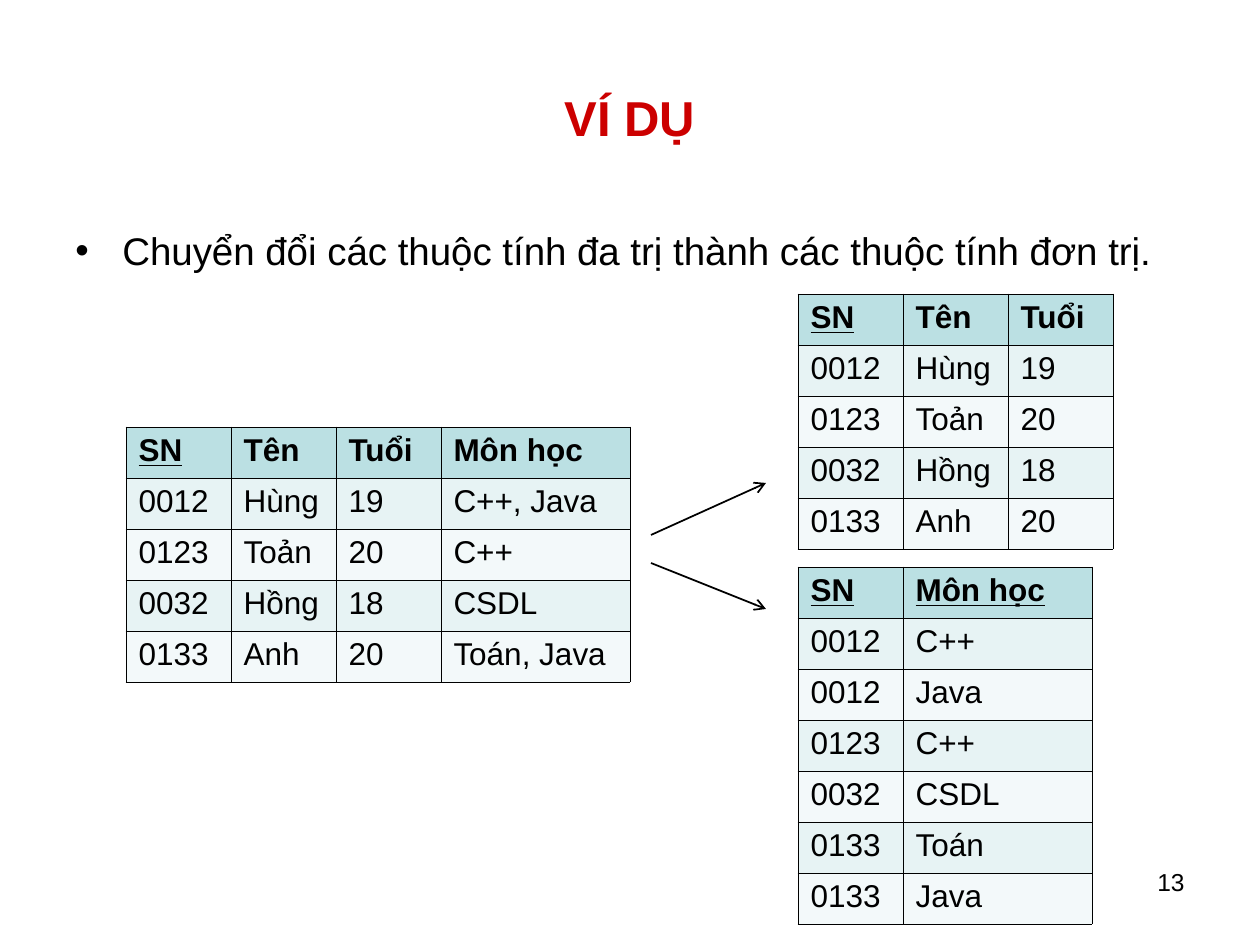
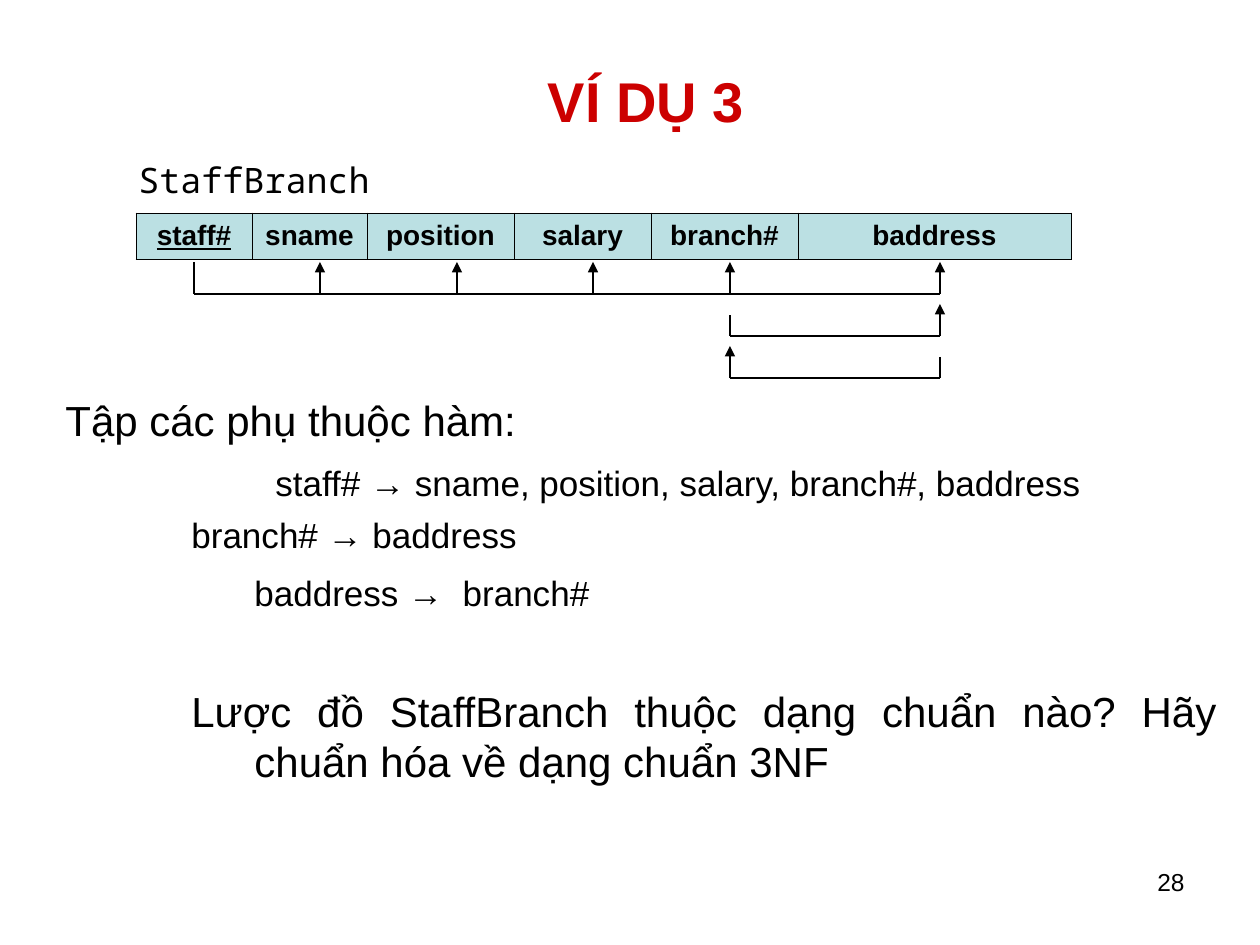
from lxml import etree
from pptx import Presentation
from pptx import util as u
from pptx.dml.color import RGBColor
from pptx.enum import shapes, text
from pptx.oxml.ns import qn

# Shared look
EMU_PER_PX = 914400 / 126
COLORS = {"ink": "000000", "title": "CC0000", "header": "BBE0E3",
          "odd": "E7F3F4", "even": "F3F9FA"}
SANS, MONO = "Arial", "Noto Sans Mono"
LEFT, CENTER, RIGHT, JUSTIFY = (text.PP_ALIGN.LEFT, text.PP_ALIGN.CENTER,
                                text.PP_ALIGN.RIGHT, text.PP_ALIGN.JUSTIFY)
TOP, MIDDLE = text.MSO_ANCHOR.TOP, text.MSO_ANCHOR.MIDDLE
NUMBER_BOX = (903, 861, 294, 65)
KEY, WIDE = 105, 189  # column widths

# Slide 13: splitting a multi-valued attribute
STUDENTS = [("0012", "Hùng", "19", "C++, Java"), ("0123", "Toản", "20", "C++"),
            ("0032", "Hồng", "18", "CSDL"), ("0133", "Anh", "20", "Toán, Java")]
COURSES = [("0012", "C++"), ("0012", "Java"), ("0123", "C++"),
           ("0032", "CSDL"), ("0133", "Toán"), ("0133", "Java")]
HEADERS = ("SN", "Tên", "Tuổi", "Môn học")
SPLIT_TABLES = [  # left, top, column widths, rows, underlined headers
    (126, 427, (KEY, KEY, KEY, WIDE), [HEADERS] + STUDENTS, {"SN"}),
    (798, 294, (KEY, KEY, KEY), [row[:3] for row in [HEADERS] + STUDENTS], {"SN"}),
    (798, 567, (KEY, WIDE), [("SN", "Môn học")] + COURSES, {"SN", "Môn học"}),
]
SPLIT_ARROWS = [((651, 535), (766, 483)), ((651, 563), (766, 609))]
INTRO = "Chuyển đổi các thuộc tính đa trị thành các thuộc tính đơn trị."

# Slide 28: functional dependencies of one relation
STAFF_COLUMNS = {"staff#": 116, "sname": 115, "position": 147,
                 "salary": 137, "branch#": 147, "baddress": 273}
ANCHOR_X = {"staff#": 194, "sname": 320, "position": 457,
            "salary": 593, "branch#": 730, "baddress": 940}
DEPENDENCIES = [  # determinant, dependents, height of the starting stub
    ("staff#", ("sname", "position", "salary", "branch#", "baddress"), 32),
    ("branch#", ("baddress",), 21),
    ("baddress", ("branch#",), 21),
]
FIRST_BUS_Y, BUS_STEP, TIP_HEIGHT = 294, 42, 32
STAFF_NOTES = [  # text, size, left margin, first-line indent, before, after, align
    ("Tập các phụ thuộc hàm:", 24, 84, -84, 3, 3, LEFT),
    ("staff# → sname, position, salary, branch#, baddress", 20, 210, 0, 6.5, 3.5, LEFT),
    ("branch# → baddress", 20, 189, -63, 2.5, 2.5, JUSTIFY),
    ("baddress →  branch#", 20, 189, 0, 6.5, 3.5, JUSTIFY),
    ("Lược đồ StaffBranch thuộc dạng chuẩn nào? Hãy chuẩn hóa về dạng chuẩn 3NF",
     24, 189, -63, 37.5, 3, JUSTIFY),
]


def px(length):
    return u.Emu(round(length * EMU_PER_PX))


def rgb(name):
    return RGBColor.from_string(COLORS[name])


def add_run(para, words, size, color="ink", font=SANS, bold=False, underline=False):
    span = para.add_run()
    span.text = words
    span.font.size = u.Pt(size)
    span.font.name = font
    span.font.bold = bold
    span.font.underline = underline
    span.font.color.rgb = rgb(color)


def set_indent(para, margin, indent, bullet=None):
    props = para._p.get_or_add_pPr()
    props.set("marL", str(px(margin)))
    props.set("indent", str(px(indent)))
    if bullet:
        etree.SubElement(props, qn("a:buFont")).set("typeface", SANS)
        etree.SubElement(props, qn("a:buChar")).set("char", bullet)


def add_box(page, area, anchor=TOP):
    frame = page.shapes.add_textbox(*map(px, area)).text_frame
    frame.word_wrap = True
    frame.vertical_anchor = anchor
    return frame


def add_page(deck, title, area, size, number):
    page = deck.slides.add_slide(deck.slide_layouts[5])
    box = page.shapes.title
    box.left, box.top, box.width, box.height = map(px, area)
    box.text_frame.vertical_anchor = MIDDLE
    para = box.text_frame.paragraphs[0]
    para.alignment = CENTER
    add_run(para, title, size, "title", bold=True)
    # Page number
    para = add_box(page, NUMBER_BOX).paragraphs[0]
    para.alignment = RIGHT
    add_run(para, number, 14)
    return page


def add_line(page, start, end, head=None):
    line = page.shapes.add_connector(shapes.MSO_CONNECTOR.STRAIGHT,
                                     *map(px, start + end))
    line.line.color.rgb = rgb("ink")
    line.line.width = u.Pt(1)
    if head:
        outline = line.line._get_or_add_ln()
        etree.SubElement(outline, qn("a:tailEnd")).set("type", head)
    etree.SubElement(line._element.spPr, qn("a:effectLst"))


def add_borders(cell):
    props = cell._tc.get_or_add_tcPr()
    for place, side in enumerate(("a:lnL", "a:lnR", "a:lnT", "a:lnB")):
        border = etree.Element(qn(side), w=str(u.Pt(0.45)))
        fill = etree.SubElement(border, qn("a:solidFill"))
        etree.SubElement(fill, qn("a:srgbClr")).set("val", COLORS["ink"])
        props.insert(place, border)


def add_grid(page, left, top, widths, rows, keys, row_height=51, size=18,
             align=LEFT, anchor=TOP):
    area = (left, top, sum(widths), row_height * len(rows))
    grid = page.shapes.add_table(len(rows), len(widths), *map(px, area)).table
    for column, width in zip(grid.columns, widths):
        column.width = px(width)
    for r, row in enumerate(rows):
        grid.rows[r].height = px(row_height)
        band = "header" if r == 0 else ("even", "odd")[r % 2]
        for c, words in enumerate(row):
            cell = grid.cell(r, c)
            cell.fill.solid()
            cell.fill.fore_color.rgb = rgb(band)
            cell.vertical_anchor = anchor
            para = cell.text_frame.paragraphs[0]
            para.alignment = align
            add_run(para, words, size, bold=r == 0,
                    underline=r == 0 and words in keys)
            add_borders(cell)


def build_split_page(deck):
    page = add_page(deck, "VÍ DỤ", (63, 38, 1134, 158), 28, "13")
    para = add_box(page, (63, 221, 1134, 60)).paragraphs[0]
    para.space_before = u.Pt(5.5)
    set_indent(para, 47, -47, "•")
    add_run(para, INTRO, 22)
    for table in SPLIT_TABLES:
        add_grid(page, *table)
    for start, end in SPLIT_ARROWS:
        add_line(page, start, end, "arrow")


def build_dependency_page(deck):
    page = add_page(deck, "VÍ DỤ 3", (32, 21, 1228, 158), 32, "28")
    # Relation name and its attributes
    name = add_box(page, (126, 158, 320, 42), anchor=MIDDLE)
    add_run(name.paragraphs[0], "StaffBranch", 20, font=MONO)
    add_grid(page, 136, 213, list(STAFF_COLUMNS.values()), [list(STAFF_COLUMNS)],
             {"staff#"}, row_height=46, size=16, align=CENTER, anchor=MIDDLE)
    # Dependency brackets
    for i, (source, targets, stub) in enumerate(DEPENDENCIES):
        bus_y = FIRST_BUS_Y + i * BUS_STEP
        x = ANCHOR_X[source]
        add_line(page, (x, bus_y - stub), (x, bus_y))
        add_line(page, (x, bus_y), (ANCHOR_X[targets[-1]], bus_y))
        for target in targets:
            x = ANCHOR_X[target]
            add_line(page, (x, bus_y), (x, bus_y - TIP_HEIGHT), "triangle")
    # Notes
    notes = add_box(page, (53, 388, 1176, 420))
    for i, (words, size, margin, indent, before, after, align) in enumerate(STAFF_NOTES):
        para = notes.add_paragraph() if i else notes.paragraphs[0]
        para.alignment = align
        para.space_before, para.space_after = u.Pt(before), u.Pt(after)
        set_indent(para, margin, indent)
        add_run(para, words, size)


def main():
    deck = Presentation()
    deck.slide_width, deck.slide_height = px(1260), px(945)
    build_split_page(deck)
    build_dependency_page(deck)
    deck.save("out.pptx")


if __name__ == "__main__":
    main()
